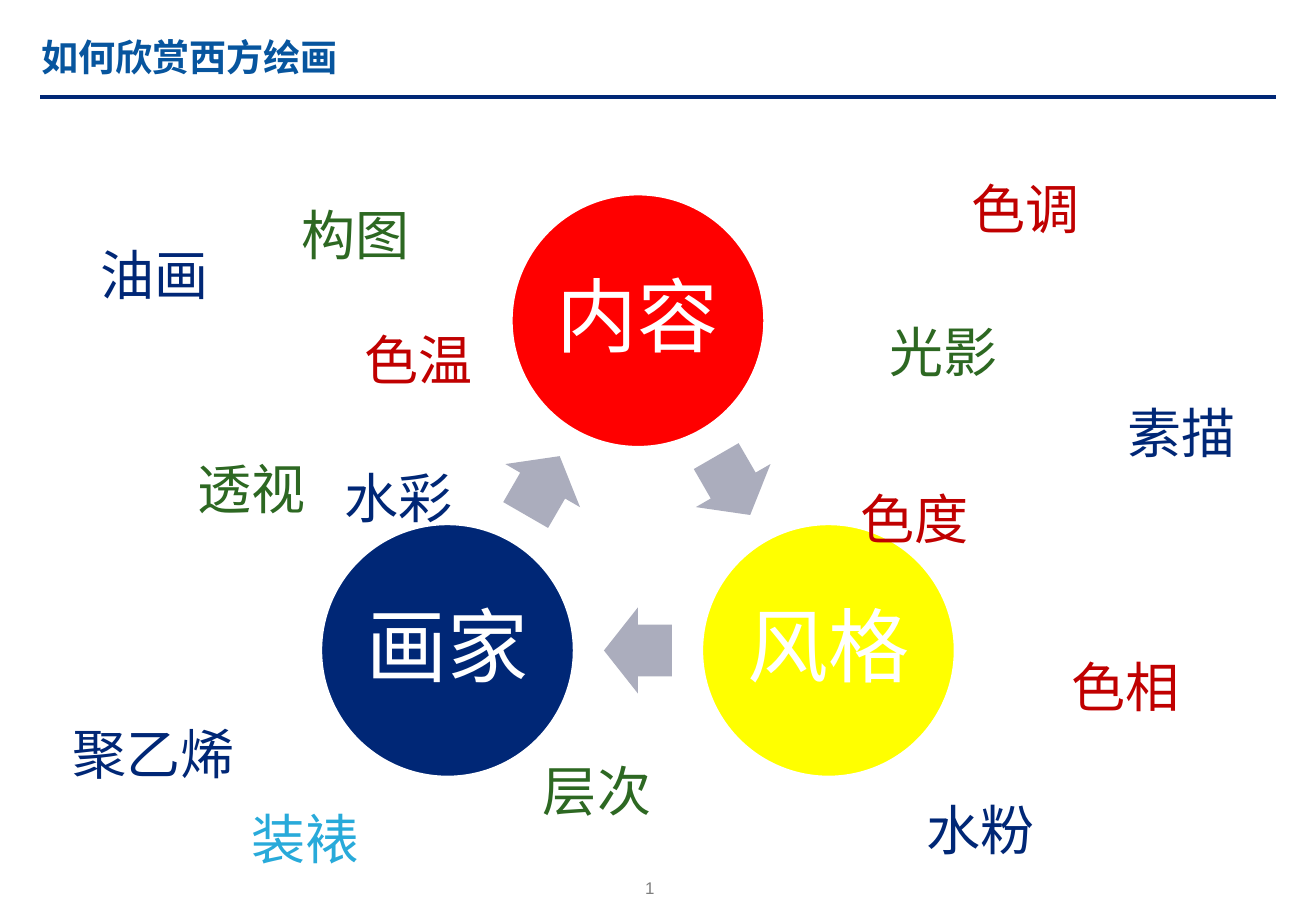
"""Build the slide on appreciating Western painting: a three-part cycle among scattered terms."""
from dataclasses import dataclass
from math import cos, radians, sin

from lxml.etree import SubElement
from pptx import Presentation
from pptx.dml.color import RGBColor as Rgb
from pptx.enum.shapes import MSO_CONNECTOR as Connector, MSO_SHAPE as Shape
from pptx.enum.text import MSO_ANCHOR as Anchor, MSO_AUTO_SIZE as AutoSize, PP_ALIGN as Align
from pptx.oxml.ns import qn
from pptx.slide import Slide
from pptx.text.text import TextFrame
from pptx.util import Inches, Pt


@dataclass(frozen=True)
class Theme:
    latin: str = "Arial"
    cjk: str = "Noto Sans CJK SC"
    title: str = "07559E"
    navy: str = "002776"
    green: str = "2D6822"
    crimson: str = "C00000"
    sky: str = "28AADA"
    red: str = "FF0000"
    yellow: str = "FFFF00"
    white: str = "FFFFFF"
    arrow: str = "ABADBD"
    grey: str = "7F7F7F"
    title_size: int = 22
    stage_size: int = 48
    term_size: int = 32
    number_size: int = 10


@dataclass(frozen=True)
class Stage:
    text: str
    fill: str
    angle: int


@dataclass(frozen=True)
class Term:
    text: str
    left: float
    top: float
    color: str


THEME = Theme()
CYCLE_X, CYCLE_Y, CYCLE_RADIUS = 5.25, 4.45, 1.81
CIRCLE = 2.09
ARROW_WIDTH, ARROW_HEIGHT = 0.56, 0.71
TERM_WIDTH, TERM_HEIGHT = 1.65, 0.63

STAGES = (
    Stage("内容", THEME.red, -90),
    Stage("风格", THEME.yellow, 30),
    Stage("画家", THEME.navy, 150),
)
TERMS = (
    Term("油画", 0.73, 1.94, THEME.navy),
    Term("素描", 9.18, 3.24, THEME.navy),
    Term("水彩", 2.74, 3.78, THEME.navy),
    Term("水粉", 7.53, 6.51, THEME.navy),
    Term("聚乙烯", 0.5, 5.88, THEME.navy),
    Term("构图", 2.38, 1.61, THEME.green),
    Term("透视", 1.53, 3.7, THEME.green),
    Term("光影", 7.22, 2.57, THEME.green),
    Term("色调", 7.9, 1.4, THEME.crimson),
    Term("色温", 2.9, 2.64, THEME.crimson),
    Term("色相", 8.72, 5.33, THEME.crimson),
    Term("色度", 6.98, 3.95, THEME.crimson),
    Term("层次", 4.37, 6.19, THEME.green),
    Term("装裱", 1.97, 6.58, THEME.sky),
)


def write(frame: TextFrame, text: str, size: int, color: str, font: str = THEME.latin,
          align: Align = Align.LEFT, bold: bool = False) -> None:
    """Write one formatted run into a vertically centred frame."""
    frame.word_wrap = True
    frame.auto_size = AutoSize.NONE
    frame.vertical_anchor = Anchor.MIDDLE
    paragraph = frame.paragraphs[0]
    paragraph.alignment = align
    run = paragraph.add_run()
    run.text = text
    run.font.size = Pt(size)
    run.font.bold = bold
    run.font.name = font
    run.font.color.rgb = Rgb.from_string(color)
    SubElement(run._r.get_or_add_rPr(), qn("a:ea"), typeface=THEME.cjk)


def set_insets(frame: TextFrame, left: float, top: float, right: float, bottom: float) -> None:
    """Set the four inner margins in inches."""
    frame.margin_left, frame.margin_top = Inches(left), Inches(top)
    frame.margin_right, frame.margin_bottom = Inches(right), Inches(bottom)


def add_heading(slide: Slide) -> None:
    """Place the title and the rule below it."""
    title = slide.shapes.title
    title.left, title.top = Inches(0.34), Inches(0.13)
    title.width, title.height = Inches(10.16), Inches(0.67)
    set_insets(title.text_frame, 0, 0.04, 0.07, 0.04)
    write(title.text_frame, "如何欣赏西方绘画", THEME.title_size, THEME.title, bold=True)
    rule = slide.shapes.add_connector(
        Connector.STRAIGHT, Inches(0.33), Inches(0.8), Inches(10.5), Inches(0.8))
    rule.line.color.rgb = Rgb.from_string(THEME.navy)
    rule.line.width = Pt(2.5)
    SubElement(rule._element.spPr, qn("a:effectLst"))


def add_cycle_shape(slide: Slide, kind: Shape, angle: int, radius: float,
                    width: float, height: float, fill: str):
    """Add a filled shape centred at an angle and radius on the cycle."""
    center_x = CYCLE_X + radius * cos(radians(angle))
    center_y = CYCLE_Y + radius * sin(radians(angle))
    shape = slide.shapes.add_shape(
        kind, Inches(center_x - width / 2), Inches(center_y - height / 2),
        Inches(width), Inches(height))
    shape.shadow.inherit = False
    shape.fill.solid()
    shape.fill.fore_color.rgb = Rgb.from_string(fill)
    return shape


def add_stage(slide: Slide, stage: Stage) -> None:
    """Add a stage circle and the arrow leading to the next stage."""
    circle = add_cycle_shape(
        slide, Shape.OVAL, stage.angle, CYCLE_RADIUS, CIRCLE, CIRCLE, stage.fill)
    circle.line.color.rgb = Rgb.from_string(THEME.white)
    circle.line.width = Pt(2)
    set_insets(circle.text_frame, 0.07, 0.07, 0.07, 0.07)
    write(circle.text_frame, stage.text, THEME.stage_size, THEME.white, align=Align.CENTER)
    circle.text_frame.paragraphs[0].line_spacing = 0.9

    arrow_angle = stage.angle + 60
    arrow = add_cycle_shape(
        slide, Shape.RIGHT_ARROW, arrow_angle, CYCLE_RADIUS / 2,
        ARROW_WIDTH, ARROW_HEIGHT, THEME.arrow)
    arrow.line.fill.background()
    arrow.adjustments[0], arrow.adjustments[1] = 0.6, 0.5
    arrow.rotation = arrow_angle + 90


def add_term(slide: Slide, term: Term) -> None:
    """Add one scattered painting term."""
    box = slide.shapes.add_textbox(
        Inches(term.left), Inches(term.top), Inches(TERM_WIDTH), Inches(TERM_HEIGHT))
    write(box.text_frame, term.text, THEME.term_size, term.color, font=THEME.cjk)


def add_page_number(slide: Slide) -> None:
    """Add the page number at the foot."""
    box = slide.shapes.add_textbox(Inches(5.21), Inches(7.17), Inches(0.45), Inches(0.27))
    write(box.text_frame, "1", THEME.number_size, THEME.grey)


def main() -> None:
    """Build and save the slide."""
    deck = Presentation()
    deck.slide_width, deck.slide_height = Inches(10.83), Inches(7.5)
    slide = deck.slides.add_slide(deck.slide_layouts.get_by_name("Title Only"))
    add_heading(slide)
    add_page_number(slide)
    for stage in STAGES:
        add_stage(slide, stage)
    for term in TERMS:
        add_term(slide, term)
    deck.save("out.pptx")


if __name__ == "__main__":
    main()
